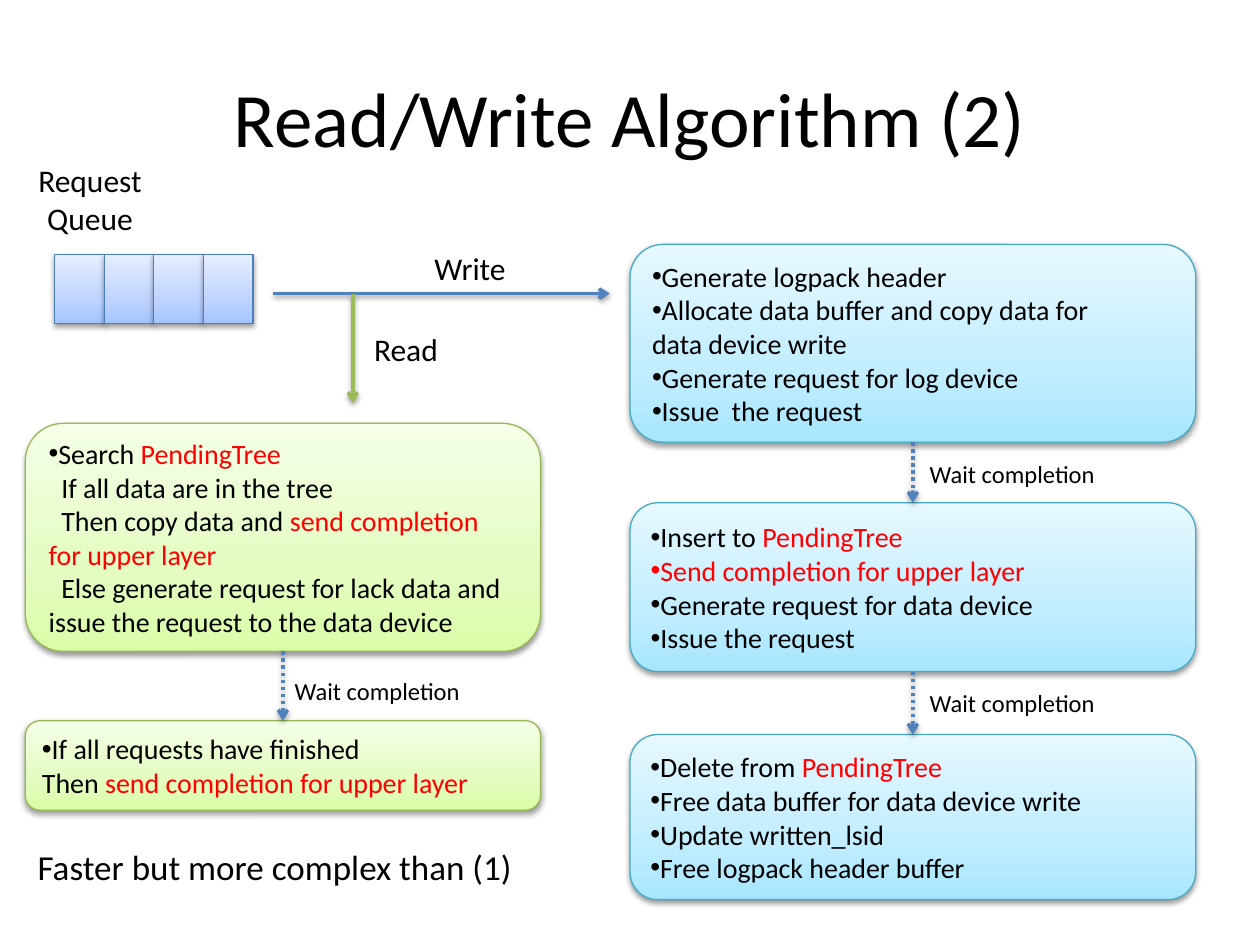
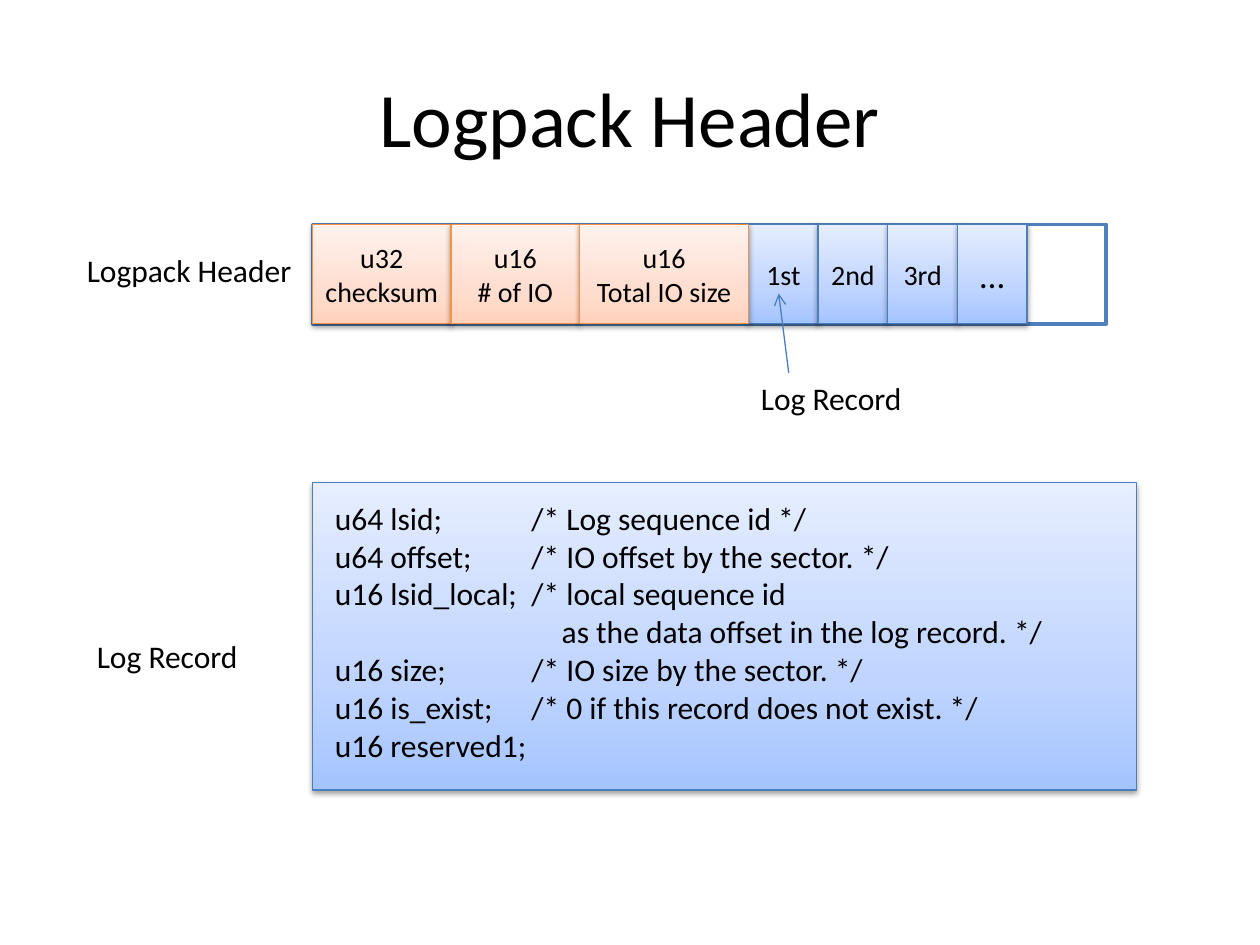
"""Build two slides on the read/write algorithm and the logpack header."""
from copy import deepcopy

from lxml.etree import SubElement
from pptx import Presentation
from pptx.dml.color import RGBColor as RGB
from pptx.enum.dml import MSO_LINE
from pptx.enum.shapes import MSO_CONNECTOR, MSO_SHAPE
from pptx.enum.text import MSO_ANCHOR, PP_ALIGN
from pptx.oxml.ns import qn
from pptx.util import Inches, Pt

deck = Presentation()
deck.slide_width, deck.slide_height = Inches(10), Inches(7.5)
COL, ROW = deck.slide_width / 100, deck.slide_height / 75

FONT = "Calibri"
BLACK, WHITE, RED = RGB(0, 0, 0), RGB(255, 255, 255), RGB(255, 0, 0)
ACCENT, EDGE, LEAF = RGB(0x4F, 0x81, 0xBD), RGB(0x4B, 0x7E, 0xBC), RGB(0x9B, 0xBB, 0x59)
BLUE = (EDGE, RGB(0xA4, 0xC4, 0xFF), RGB(0xBF, 0xD4, 0xFF), RGB(0xE6, 0xEE, 0xFF))
AQUA = (RGB(0x46, 0xAA, 0xC5), RGB(0xA7, 0xE6, 0xFF), RGB(0xC1, 0xED, 0xFF), RGB(0xE7, 0xF8, 0xFF))
GREEN = (RGB(0x98, 0xB9, 0x55), RGB(0xDA, 0xFD, 0xA7), RGB(0xE4, 0xFC, 0xC2), RGB(0xF5, 0xFF, 0xE7))
ORANGE = (RGB(0xF6, 0x92, 0x40), RGB(0xFF, 0xD2, 0xBD), RGB(0xFF, 0xDE, 0xD0), RGB(0xFF, 0xF2, 0xED))
RECT, ROUND = MSO_SHAPE.RECTANGLE, MSO_SHAPE.ROUNDED_RECTANGLE
LEFT, CENTER = PP_ALIGN.LEFT, PP_ALIGN.CENTER


def add_block(slide, box, lines=(), size=16, kind=None, palette=None, align=LEFT, indent=1):
    """Add a label or a gradient shape; [..] is red, • a bullet, a leading tab an indent."""
    x, y, w, h = box
    frame = [round(v) for v in (x * COL, y * ROW, w * COL, h * ROW)]
    block = slide.shapes.add_shape(kind, *frame) if kind else slide.shapes.add_textbox(*frame)
    if palette:
        block.line.color.rgb, block.line.width = palette[0], Pt(0.75)
        block.fill.gradient()
        block.fill.gradient_angle = 90
        stops = block._element.spPr.find(".//" + qn("a:gsLst"))
        stops.insert(1, deepcopy(stops[0]))
        for stop, color, position in zip(block.fill.gradient_stops, palette[1:], (0, 0.35, 1)):
            stop.color.rgb, stop.position = color, position
    if kind:
        block.shadow.inherit = False
        if palette:
            add_shadow(block)
    text = block.text_frame
    text.word_wrap = bool(kind)
    text.vertical_anchor = MSO_ANCHOR.MIDDLE if kind or size > 40 else MSO_ANCHOR.TOP
    if kind and align == CENTER:
        text.margin_left = text.margin_right = 0
    for number, line in enumerate(lines):
        paragraph = text.add_paragraph() if number else text.paragraphs[0]
        paragraph.alignment = align
        props = paragraph._p.get_or_add_pPr()
        if line.startswith("•"):
            SubElement(props, qn("a:buFont"), typeface="Arial")
            SubElement(props, qn("a:buChar"), char="•")
        elif line.startswith("\t"):
            props.set("marL", "0")
            props.set("indent", str(round(indent * COL)))
        for part, words in enumerate(line.lstrip("•\t").replace("]", "[").split("[")):
            if words:
                run = paragraph.add_run()
                run.text = words
                run.font.name, run.font.size = FONT, Pt(size)
                run.font.color.rgb = RED if part % 2 else BLACK
    return block


def add_shadow(item, visible=True):
    """Give a shape or connector its own effect list, with a soft shadow if visible."""
    props = item._element.spPr
    effects = props.find(qn("a:effectLst"))
    if effects is None:
        effects = SubElement(props, qn("a:effectLst"))
    if visible:
        shadow = SubElement(effects, qn("a:outerShdw"), blurRad="40000", dist="20000",
                            dir="5400000", rotWithShape="0")
        color = SubElement(shadow, qn("a:srgbClr"), val="000000")
        SubElement(color, qn("a:alpha"), val="38000")


algorithm, header = [deck.slides.add_slide(deck.slide_layouts[6]) for _ in range(2)]
for slide, title in ((algorithm, "Read/Write Algorithm (2)"), (header, "Logpack Header")):
    slide.background.fill.solid()
    slide.background.fill.fore_color.rgb = WHITE
    add_block(slide, (5, 3, 90, 12.5), [title], 44, align=CENTER).text_frame.word_wrap = True

for slot in range(4):
    add_block(algorithm, (4.33 + slot * 3.94, 20.2, 3.94, 5.5), kind=RECT, palette=BLUE)

steps = (
    (AQUA, (50, 19.4, 44.9, 15.7), (
        "•Generate logpack header", "•Allocate data buffer and copy data for", "data device write",
        "•Generate request for log device", "•Issue  the request")),
    (AQUA, (50, 39.9, 44.9, 13.4), (
        "•Insert to [PendingTree]", "•[Send completion for upper layer]",
        "•Generate request for data device", "•Issue the request")),
    (AQUA, (50, 58.3, 44.9, 13.1), (
        "•Delete from [PendingTree]", "•Free data buffer for data device write",
        "•Update written_lsid", "•Free logpack header buffer")),
    (GREEN, (2, 33.6, 40.9, 18.1), (
        "•Search [PendingTree]", "\tIf all data are in the tree",
        "\tThen copy data and [send completion]", "[for upper layer]",
        "\tElse generate request for lack data and issue the request to the data device")),
    (GREEN, (2, 57.2, 40.9, 7.1), (
        "•If all requests have finished", "Then [send completion for upper layer]")),
)
for palette, box, lines in steps:
    add_block(algorithm, box, lines, kind=ROUND, palette=palette)

labels = (
    (algorithm, (2, 12.3, 10.3, 7.1), ("Request", "Queue"), 18, CENTER),
    (algorithm, (33.5, 19.3, 7.7, 4), ("Write",), 18, LEFT),
    (algorithm, (28.7, 25.7, 7.1, 4), ("Read",), 18, LEFT),
    (algorithm, (72.8, 35.9, 15.3, 3.4), ("Wait completion",), 14, LEFT),
    (algorithm, (72.8, 54.1, 15.3, 3.4), ("Wait completion",), 14, LEFT),
    (algorithm, (22.4, 53.2, 15.3, 3.4), ("Wait completion",), 14, LEFT),
    (algorithm, (2, 66.6, 40.1, 4.4), ("Faster but more complex than (1)",), 20, LEFT),
    (header, (5.9, 19.4, 18.5, 4), ("Logpack Header",), 18, LEFT),
    (header, (59.4, 29.6, 13.3, 4), ("Log Record",), 18, LEFT),
    (header, (6.7, 50.1, 13.3, 4), ("Log Record",), 18, LEFT),
)
for slide, box, lines, size, align in labels:
    add_block(slide, box, lines, size, align=align)

outline = add_block(header, (24.8, 17.8, 63, 7.9), kind=RECT)
outline.fill.solid()
outline.fill.fore_color.rgb = WHITE
outline.line.color.rgb, outline.line.width = ACCENT, Pt(2)

record_fields = [(("1st",), 5.53), (("2nd",), 5.53), (("3rd",), 5.53), (("…",), 5.53)]
header_fields = [(("u32", "checksum"), 11), (("u16", "# of IO"), 10.2),
                 (("u16", "Total IO size"), 13.4)]
for left, palette, fields in ((59.4, BLUE, record_fields), (24.8, ORANGE, header_fields)):
    for lines, width in fields:
        add_block(header, (left, 17.8, width, 7.9), lines, 20 if lines == ("…",) else 16,
                  RECT, palette, CENTER)
        left += width

add_block(header, (24.8, 38.3, 65.4, 24.4), kind=RECT, palette=BLUE)
declarations = (
    "u64 lsid;\t/* Log sequence id */",
    "u64 offset;\t/* IO offset by the sector. */",
    "u16 lsid_local;\t/* local sequence id",
    "\tas the data offset in the log record. */",
    "u16 size;\t/* IO size by the sector. */",
    "u16 is_exist;\t/* 0 if this record does not exist. */",
    "u16 reserved1;",
)
record = add_block(header, (25.6, 39.1, 64.6, 22.2), declarations, 18, indent=18)
record.text_frame.word_wrap = True
for paragraph in record.text_frame.paragraphs:
    tabs = SubElement(paragraph._p.get_or_add_pPr(), qn("a:tabLst"))
    SubElement(tabs, qn("a:tab"), pos=str(round(15.6 * COL)), algn="l")

arrows = (
    (algorithm, (21.7, 23.3, 48.4, 23.3), ACCENT, 2, False),
    (algorithm, (28, 23.3, 28, 32), LEAF, 2, False),
    (algorithm, (72.45, 35.1, 72.45, 39.9), ACCENT, 2, True),
    (algorithm, (72.45, 53.3, 72.45, 58.3), ACCENT, 2, True),
    (algorithm, (22.45, 51.7, 22.45, 57.2), ACCENT, 2, True),
    (header, (62.6, 29.6, 61.8, 23.3), EDGE, 0.75, False),
)
for slide, (x1, y1, x2, y2), color, weight, waiting in arrows:
    ends = [round(v) for v in (x1 * COL, y1 * ROW, x2 * COL, y2 * ROW)]
    arrow = slide.shapes.add_connector(MSO_CONNECTOR.STRAIGHT, *ends)
    arrow.line.color.rgb, arrow.line.width = color, Pt(weight)
    if waiting:
        arrow.line.dash_style = MSO_LINE.ROUND_DOT
    SubElement(arrow.line._get_or_add_ln(), qn("a:tailEnd"), type="arrow")
    add_shadow(arrow, visible=slide is algorithm)

deck.save("out.pptx")
